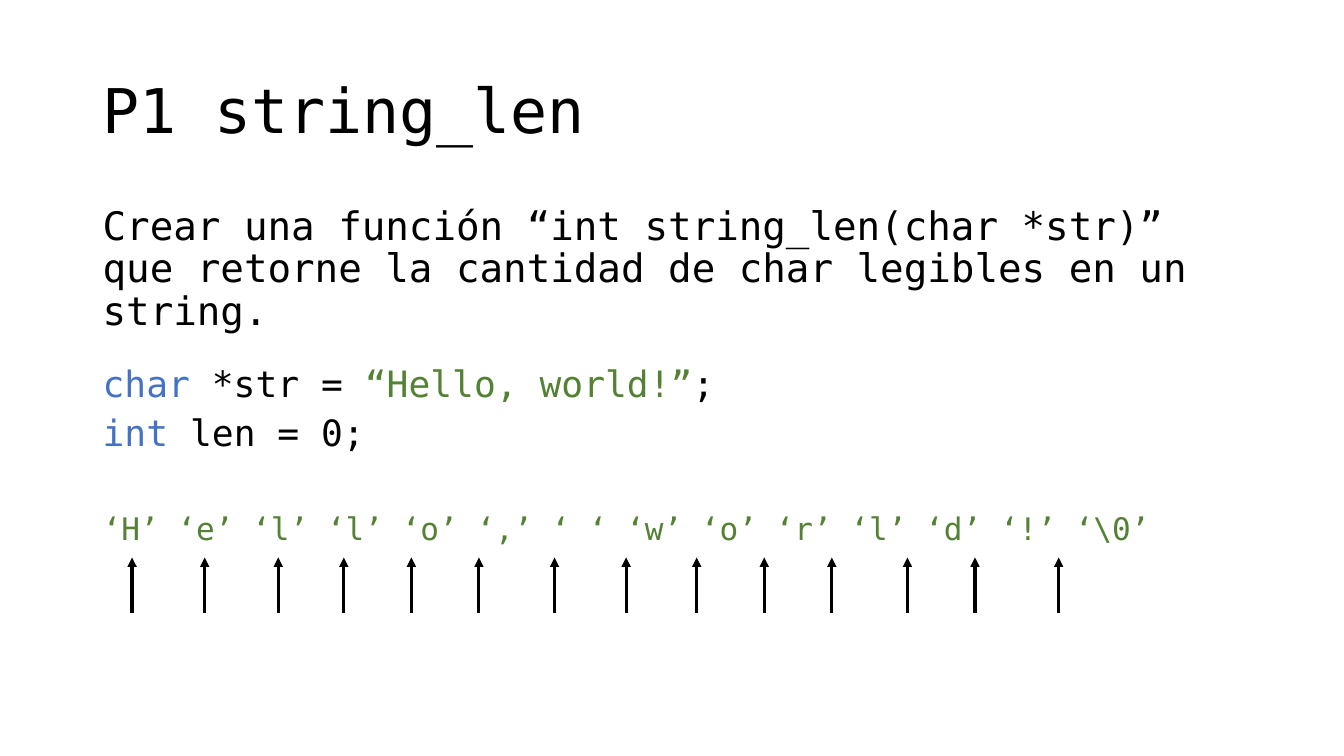
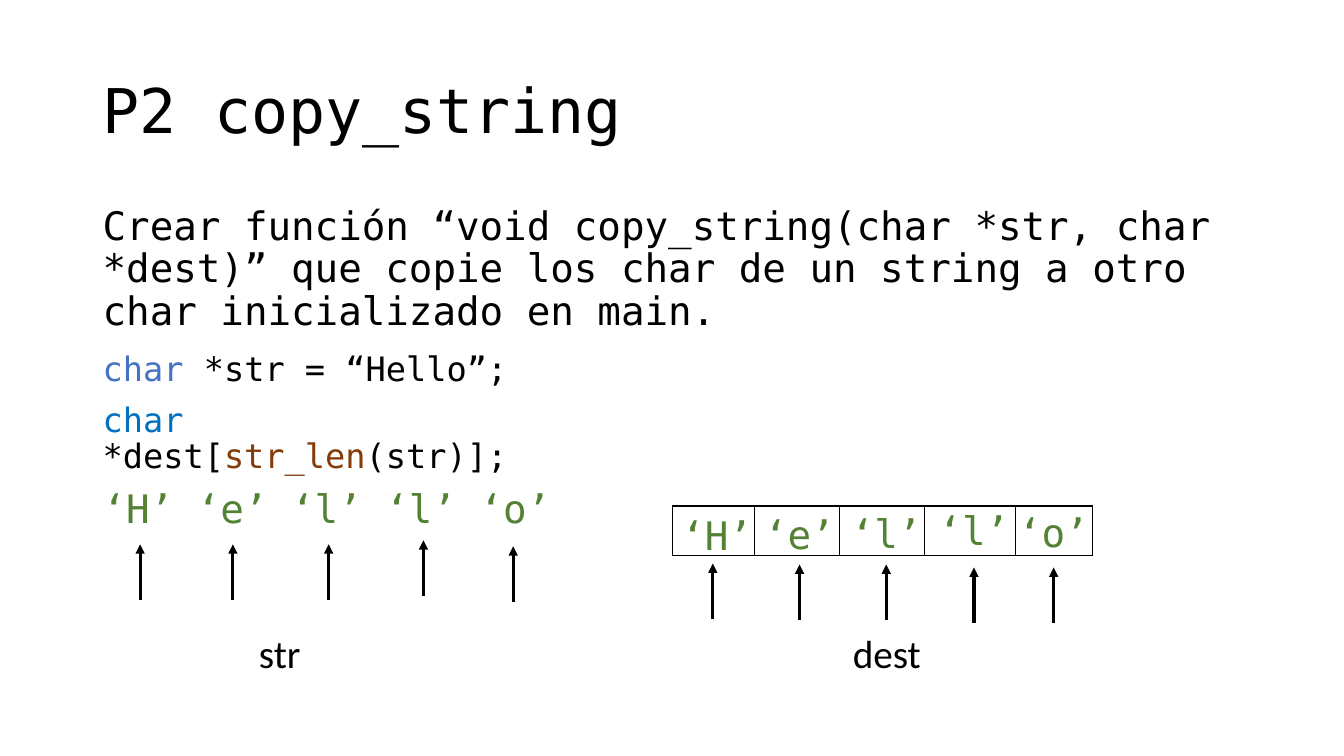
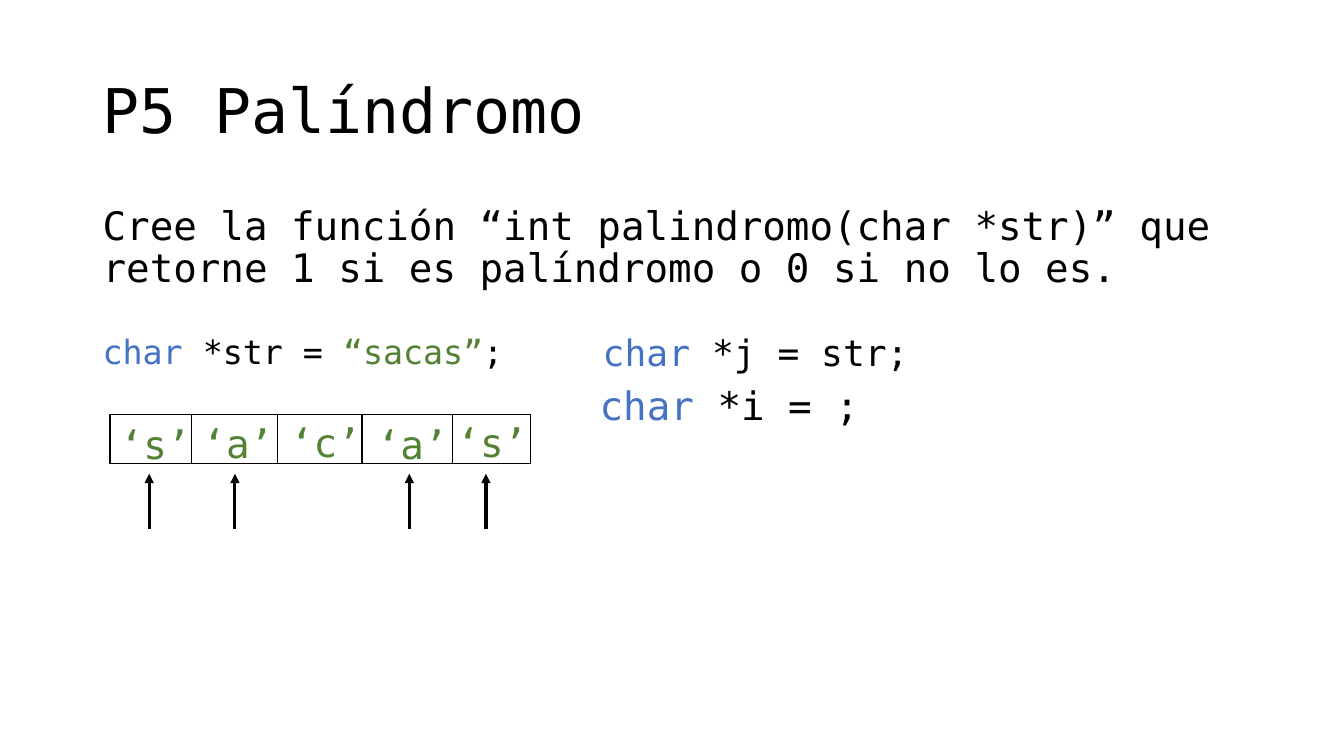
from dataclasses import dataclass
from itertools import accumulate, repeat

from lxml import etree
from pptx import Presentation
from pptx.dml.color import RGBColor
from pptx.enum.shapes import MSO_CONNECTOR
from pptx.enum.text import MSO_ANCHOR, MSO_AUTO_SIZE, PP_ALIGN
from pptx.oxml.ns import qn
from pptx.util import Inches, Pt

STRAIGHT = MSO_CONNECTOR.STRAIGHT
TOP, MIDDLE = MSO_ANCHOR.TOP, MSO_ANCHOR.MIDDLE
NO_AUTOFIT = MSO_AUTO_SIZE.NONE
LEFT = PP_ALIGN.LEFT
TITLE_ONLY = 5


@dataclass(frozen=True)
class Theme:
    black: str = "000000"
    keyword: str = "4472C4"
    keyword_alt: str = "0070C0"
    literal: str = "548235"
    call: str = "843C0B"
    code_font: str = "DejaVu Sans Mono"
    label_font: str = "Calibri"
    title_size: float = 44
    body_size: float = 28
    code_size: float = 25.9
    small_code_size: float = 24
    tight_code_size: float = 23.8
    letters_size: float = 22.2
    arrow_width: float = 2.25
    border_width: float = 0.96
    arrow_length: float = 0.55


@dataclass(frozen=True)
class Box:
    left: float
    top: float
    width: float
    height: float

    def lengths(self):
        return [Inches(value) for value in (self.left, self.top, self.width, self.height)]


@dataclass(frozen=True)
class Line:
    spans: tuple
    size: float = 28
    spacing: float = 0.9
    before: float = 10
    font: str = Theme.code_font


THEME = Theme()
TITLE_BOX = Box(0.92, 0.4, 11.5, 1.45)
CELL_WIDTHS = (0.81, 0.85, 0.84, 0.9, 0.77)
CELL_HEIGHT = 0.49
LABEL_HEIGHT = 0.57


def apply(target, values):
    for name, value in values.items():
        setattr(target, name, value)


def write_lines(frame, lines, anchor=TOP):
    apply(frame, {"word_wrap": True, "auto_size": NO_AUTOFIT, "vertical_anchor": anchor})
    for index, line in enumerate(lines):
        para = frame.add_paragraph() if index else frame.paragraphs[0]
        apply(para, {
            "alignment": LEFT,
            "line_spacing": line.spacing,
            "space_before": Pt(line.before if index else 0),
        })
        for text, color in line.spans:
            span = para.add_run()
            span.text = text
            apply(span.font, {"name": line.font, "size": Pt(line.size)})
            span.font.color.rgb = RGBColor.from_string(color)


def add_page(deck, title, statement, statement_height):
    page = deck.slides.add_slide(deck.slide_layouts[TITLE_ONLY])
    heading = page.shapes.title
    heading.left, heading.top, heading.width, heading.height = TITLE_BOX.lengths()
    write_lines(heading.text_frame, [Line(((title, THEME.black),), THEME.title_size)], MIDDLE)
    add_text(page, Box(TITLE_BOX.left, 2, TITLE_BOX.width, statement_height),
             [Line(((statement, THEME.black),), THEME.body_size)])
    return page


def add_text(page, box, lines):
    write_lines(page.shapes.add_textbox(*box.lengths()).text_frame, lines)


def add_label(page, box, text, color=THEME.black, font=THEME.label_font):
    add_text(page, box, [Line(((text, color),), THEME.body_size, 1, font=font)])


def add_arrows(page, left, top, offsets, drops=repeat(0)):
    for offset, drop in zip(offsets, drops):
        x, tip = Inches(left + offset), top + drop
        arrow = page.shapes.add_connector(
            STRAIGHT, x, Inches(tip + THEME.arrow_length), x, Inches(tip))
        arrow.line.width = Pt(THEME.arrow_width)
        arrow.line.color.rgb = RGBColor.from_string(THEME.black)
        etree.SubElement(arrow.line._get_or_add_ln(), qn("a:tailEnd"), type="triangle")
        etree.SubElement(arrow._element.spPr, qn("a:effectLst"))


def add_borders(cell):
    properties = cell._tc.get_or_add_tcPr()
    for index, side in enumerate(("a:lnL", "a:lnR", "a:lnT", "a:lnB")):
        border = etree.Element(qn(side), w=str(Pt(THEME.border_width)))
        fill = etree.SubElement(border, qn("a:solidFill"))
        etree.SubElement(fill, qn("a:srgbClr"), val=THEME.black)
        properties.insert(index, border)


def add_memory_cells(page, left, top, letters):
    box = Box(left, top, sum(CELL_WIDTHS), CELL_HEIGHT)
    table = page.shapes.add_table(1, len(CELL_WIDTHS), *box.lengths()).table
    apply(table, {"first_row": False, "horz_banding": False})
    for column, width in zip(table.columns, CELL_WIDTHS):
        column.width = Inches(width)
    for cell in table.rows[0].cells:
        cell.fill.background()
        add_borders(cell)
    for letter, offset, drop, width in letters:
        add_label(page, Box(left + offset, top + drop, width, LABEL_HEIGHT),
                  f"‘{letter}’", THEME.literal, THEME.code_font)


def build_string_len(deck):
    page = add_page(
        deck, "P1 string_len",
        "Crear una función “int string_len(char *str)” que retorne la cantidad "
        "de char legibles en un string.", 1.03)
    add_text(page, Box(TITLE_BOX.left, 3.62, TITLE_BOX.width, 1.91), [
        Line((("char", THEME.keyword), (" *str = ", THEME.black),
              ("“Hello, world!”", THEME.literal), (";", THEME.black)), THEME.code_size, 0.8),
        Line((("int", THEME.keyword), (" len = 0;", THEME.black)), THEME.code_size, 0.8),
        Line((("‘H’ ‘e’ ‘l’ ‘l’ ‘o’ ‘,’ ‘ ‘ ‘w’ ‘o’ ‘r’ ‘l’ ‘d’ ‘!’ ‘\\0’", THEME.literal),),
             THEME.letters_size, 0.8, 44.7),
    ])
    gaps = (0.72, 0.73, 0.65, 0.67, 0.67, 0.75, 0.71, 0.7, 0.67, 0.67, 0.75, 0.67, 0.83)
    add_arrows(page, 1.31, 5.53, accumulate(gaps, initial=0))


def build_copy_string(deck):
    page = add_page(
        deck, "P2 copy_string",
        "Crear función “void copy_string(char *str, char *dest)” que copie los char "
        "de un string a otro char inicializado en main.", 1.56)
    add_text(page, Box(TITLE_BOX.left, 3.45, 5.04, 2.74), [
        Line((("char ", THEME.keyword), ("*str = “Hello”;", THEME.black)),
             THEME.small_code_size),
        Line((("char", THEME.keyword_alt), (" *dest[", THEME.black),
              ("str_len", THEME.call), ("(str)];", THEME.black)), THEME.small_code_size),
        Line((("‘H’ ‘e’ ‘l’ ‘l’ ‘o’", THEME.literal),), THEME.body_size),
    ])
    add_arrows(page, 1.39, 5.4, (0, 0.92, 1.87, 2.81, 3.7), (0, 0, 0, -0.04, 0.02))
    add_memory_cells(page, 6.67, 5.02, (
        ("H", -0.01, 0, 1.09),
        ("e", 0.81, -0.01, 1.02),
        ("l", 1.67, -0.02, 0.91),
        ("l", 2.54, -0.05, 1.04),
        ("o", 3.33, -0.03, 1),
    ))
    add_arrows(page, 6.67, 5.59, (0.4, 1.26, 2.12, 2.99, 3.78), (0, 0.01, 0.01, 0.04, 0.04))
    for left, name in ((2.47, "str"), (8.36, "dest")):
        add_label(page, Box(left, 6.19, 1.07, LABEL_HEIGHT), name)


def build_palindrome(deck):
    page = add_page(
        deck, "P5 Palíndromo",
        "Cree la función “int palindromo(char *str)” que retorne 1 si es palíndromo "
        "o 0 si no lo es.", 0.99)
    add_text(page, Box(TITLE_BOX.left, 3.31, 4.49, 0.66), [
        Line((("char ", THEME.keyword), ("*str = ", THEME.black),
              ("“sacas”", THEME.literal), (";", THEME.black)), THEME.tight_code_size, 0.8)])
    add_memory_cells(page, 1.09, 4.11, (
        ("s", 0, 0.01, 1.16),
        ("a", 0.82, 0, 1.09),
        ("c", 1.69, -0.01, 0.97),
        ("a", 2.55, 0.01, 1.11),
        ("s", 3.34, -0.01, 1.07),
    ))
    add_arrows(page, 1.09, 4.7, (0.39, 1.24, 2.97, 3.73))
    add_text(page, Box(5.88, 3.31, 3.4, 0.66), [
        Line((("char ", THEME.keyword), ("*j = str;", THEME.black)), THEME.code_size, 0.8)])
    add_text(page, Box(5.85, 3.79, 5.73, 0.66), [
        Line((("char ", THEME.keyword), ("*i = ;", THEME.black)), THEME.body_size)])


def main():
    deck = Presentation()
    apply(deck, {"slide_width": Inches(13.33), "slide_height": Inches(7.5)})
    for build in (build_string_len, build_copy_string, build_palindrome):
        build(deck)
    deck.save("out.pptx")


if __name__ == "__main__":
    main()
